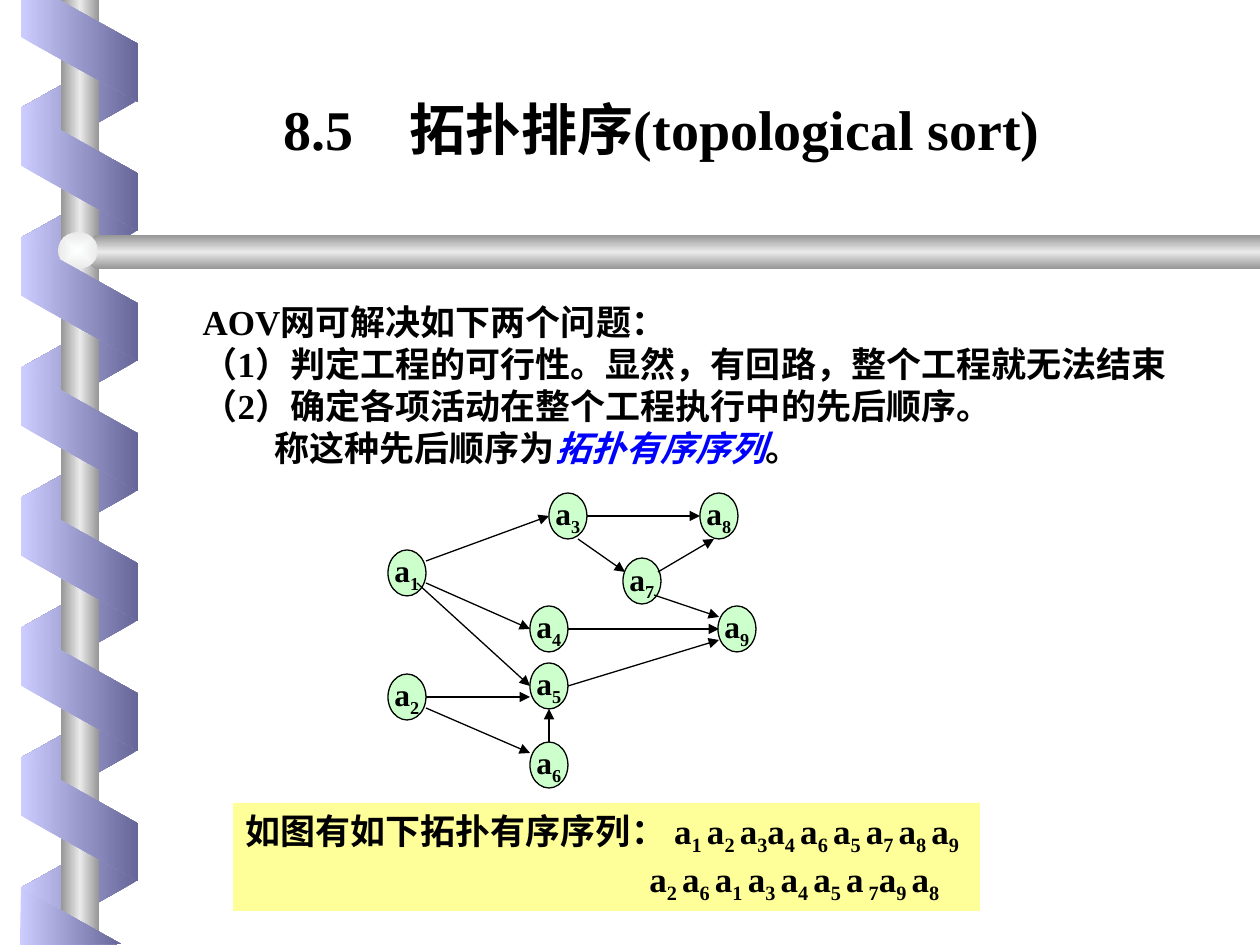
"""Build the slide on topological sorting of an AOV network."""
from lxml import etree
from pptx import Presentation
from pptx.dml.color import RGBColor
from pptx.enum.shapes import MSO_CONNECTOR as CONN, MSO_SHAPE as SHAPE
from pptx.enum.text import MSO_ANCHOR as ANCHOR, MSO_AUTO_SIZE as AUTO, PP_ALIGN as ALIGN
from pptx.oxml import parse_xml
from pptx.oxml.ns import nsdecls, qn
from pptx.util import Pt

SCALE = 914400 / 126
FONT = "Times New Roman"
BLACK, BLUE, GREEN, YELLOW = "000000", "0000FF", "CCFFCC", "FFFF99"
LIGHT, DARK = "CCCCFF", "666699"
STEEL = [(0, "969696"), (50, "EAEAEA"), (100, "969696")]
FRONT = [(0, LIGHT), (100, DARK)]
BACK = [(0, DARK), (100, LIGHT)]
PEARL = [(0, "FEFFFF"), (100, "EAEAEA")]

TITLE = "8.5\t拓扑排序(topological sort)"
TITLE_TAB = 97
BODY = [
    (0, [("AOV网可解决如下两个问题：", {})]),
    (0, [("（1）判定工程的可行性。显然，有回路，整个工程就无法结束", {})]),
    (0, [("（2）确定各项活动在整个工程执行中的先后顺序。", {})]),
    (72, [("称这种先后顺序为", {}),
          ("拓扑有序序列", {"color": BLUE, "italic": True}), ("。", {})]),
]
SEQUENCES = [
    (0, "如图有如下拓扑有序序列： ", ["1 ", "2 ", "3", "4 ", "6 ", "5 ", "7 ", "8 ", "9"]),
    (404, "", ["2 ", "6 ", "1 ", "3 ", "4 ", "5 ", " 7", "9 ", "8"]),
]

BAR = [(1260, 235), (96, 235), (76, 252), (96, 269), (1260, 269)]
TOP_RIBBON = [(21, 0), (21, 37), (138, 102), (138, 44), (59, 0)]
BOTTOM_RIBBON = [(121, 944), (21, 888), (20, 945)]
RIBBON_PITCH = 130

NODE_W, NODE_H = 38, 46
NODES = {1: (388, 550), 2: (388, 674), 3: (549, 493), 4: (530, 606), 5: (530, 663),
         6: (530, 742), 7: (623, 558), 8: (700, 493), 9: (718, 606)}
EDGES = [
    (1, (38, 11), 3, (0, 23)), (3, (38, 23), 8, (0, 23)), (3, (29, 46), 7, (2, 14)),
    (7, (35, 14), 8, (14, 46)), (7, (31, 37), 9, (1, 11)), (1, (38, 33), 4, (0, 23)),
    (4, (38, 23), 9, (1, 23)), (1, (29, 33), 5, (0, 23)), (5, (38, 23), 9, (1, 34)),
    (2, (38, 23), 5, (0, 34)), (6, (19, 0), 5, (19, 46)), (2, (38, 34), 6, (0, 11)),
]


def px(*values):
    return [round(v * SCALE) for v in values]


def rgb(color):
    return RGBColor.from_string(color)


def set_gradient(sp, stops, angle=0, centred=False):
    marks = "".join(f'<a:gs pos="{pos * 1000}"><a:srgbClr val="{color}"/></a:gs>'
                    for pos, color in stops)
    kind = f'<a:lin ang="{angle * 60000}" scaled="1"/>'
    if centred:
        kind = '<a:path path="rect"><a:fillToRect l="50000" t="50000" r="50000" b="50000"/></a:path>'
    sp.fill.background()
    old = sp._element.spPr.find(qn("a:noFill"))
    old.getparent().replace(old, parse_xml(
        f'<a:gradFill {nsdecls("a")} rotWithShape="0"><a:gsLst>{marks}</a:gsLst>{kind}</a:gradFill>'))


def add_shape(slide, kind, box, fill=None, line=None):
    sp = slide.shapes.add_shape(kind, *px(*box))
    sp.shadow.inherit = False
    if fill:
        sp.fill.solid()
        sp.fill.fore_color.rgb = rgb(fill)
    if line:
        sp.line.color.rgb = rgb(line)
        sp.line.width = Pt(0.75)
    else:
        sp.line.fill.background()
    return sp


def add_outline(slide, points, stops, angle=0):
    builder = slide.shapes.build_freeform(*points[0], scale=SCALE)
    builder.add_line_segments(points[1:], close=True)
    sp = builder.convert_to_shape()
    sp.shadow.inherit = False
    sp.line.fill.background()
    set_gradient(sp, stops, angle)


def add_ribbons(slide, count, top, height, rotation, stops, flip=False):
    for i in range(count):
        sp = add_shape(slide, SHAPE.PARALLELOGRAM, (18, top + i * RIBBON_PITCH, 123, height))
        sp.adjustments[0] = 0.56
        sp.rotation = rotation
        if flip:
            sp._element.spPr.xfrm.set("flipH", "1")
        set_gradient(sp, stops)


def add_run(p, text, size, color=BLACK, italic=None, sub=False):
    r = p.add_run()
    r.text = text
    r.font.name, r.font.size, r.font.bold = FONT, Pt(size), True
    r.font.italic = italic
    r.font.color.rgb = rgb(color)
    if sub:
        r.font._element.set("baseline", "-25000")


def add_terms(p, subscripts, size):
    for subscript in subscripts:
        add_run(p, "a", size)
        add_run(p, subscript, size, sub=True)


def place(sp, box):
    sp.left, sp.top, sp.width, sp.height = px(*box)
    tf = sp.text_frame
    tf.auto_size, tf.word_wrap, tf.vertical_anchor = AUTO.NONE, True, ANCHOR.TOP
    tf.margin_right = 0
    return tf


def add_paragraph(tf, index, indent):
    p = tf.add_paragraph() if index else tf.paragraphs[0]
    p.alignment, p.space_before = ALIGN.LEFT, Pt(0)
    pPr = p._p.get_or_add_pPr()
    pPr.set("marL", str(px(indent)[0]))
    pPr.set("indent", "0")
    etree.SubElement(pPr, qn("a:buNone"))
    return p


def add_arrow(slide, start, end):
    line = slide.shapes.add_connector(CONN.STRAIGHT, *px(*start, *end))
    line.line.color.rgb = rgb(BLACK)
    line.line.width = Pt(0.75)
    etree.SubElement(line.line._get_or_add_ln(), qn("a:tailEnd"), type="triangle")
    etree.SubElement(line._element.spPr, qn("a:effectLst"))


def add_decoration(slide):
    add_ribbons(slide, 7, 46, 116, 90, BACK, flip=True)
    set_gradient(add_shape(slide, SHAPE.RECTANGLE, (61, 0, 38, 945)), STEEL)
    add_outline(slide, BAR, STEEL, 90)
    set_gradient(add_shape(slide, SHAPE.OVAL, (58, 232, 40, 37)), PEARL, centred=True)
    add_ribbons(slide, 6, 111, 117, 270, FRONT)
    add_outline(slide, TOP_RIBBON, FRONT)
    add_outline(slide, BOTTOM_RIBBON, FRONT)


def add_text(slide):
    title, body = slide.placeholders
    p = add_paragraph(place(title, (271, 88, 790, 81)), 0, 0)
    tabs = etree.SubElement(p._p.pPr, qn("a:tabLst"))
    etree.SubElement(tabs, qn("a:tab"), pos=str(px(TITLE_TAB)[0]), algn="l")
    add_run(p, TITLE, 32)
    tf = place(body, (190, 294, 1006, 181))
    for i, (indent, runs) in enumerate(BODY):
        p = add_paragraph(tf, i, indent)
        for text, style in runs:
            add_run(p, text, 20, **style)


def add_graph(slide):
    for number, corner in NODES.items():
        sp = add_shape(slide, SHAPE.OVAL, (*corner, NODE_W, NODE_H), GREEN, BLACK)
        tf = sp.text_frame
        tf.word_wrap, tf.vertical_anchor = False, ANCHOR.MIDDLE
        p = tf.paragraphs[0]
        p.alignment = ALIGN.CENTER
        add_terms(p, [str(number)], 18)
    for tail, tail_at, head, head_at in EDGES:
        add_arrow(slide, map(sum, zip(NODES[tail], tail_at)), map(sum, zip(NODES[head], head_at)))


def add_sequences(slide):
    sp = add_shape(slide, SHAPE.RECTANGLE, (233, 803, 747, 108), YELLOW)
    tf = sp.text_frame
    tf.word_wrap, tf.vertical_anchor, tf.margin_right = True, ANCHOR.MIDDLE, 0
    for i, (indent, label, subscripts) in enumerate(SEQUENCES):
        p = add_paragraph(tf, i, indent)
        if label:
            add_run(p, label, 20)
        add_terms(p, subscripts, 20)


def main():
    prs = Presentation()
    prs.slide_width, prs.slide_height = px(1260, 945)
    slide = prs.slides.add_slide(prs.slide_layouts[1])
    add_decoration(slide)
    add_text(slide)
    add_sequences(slide)
    add_graph(slide)
    prs.save("out.pptx")


if __name__ == "__main__":
    main()
